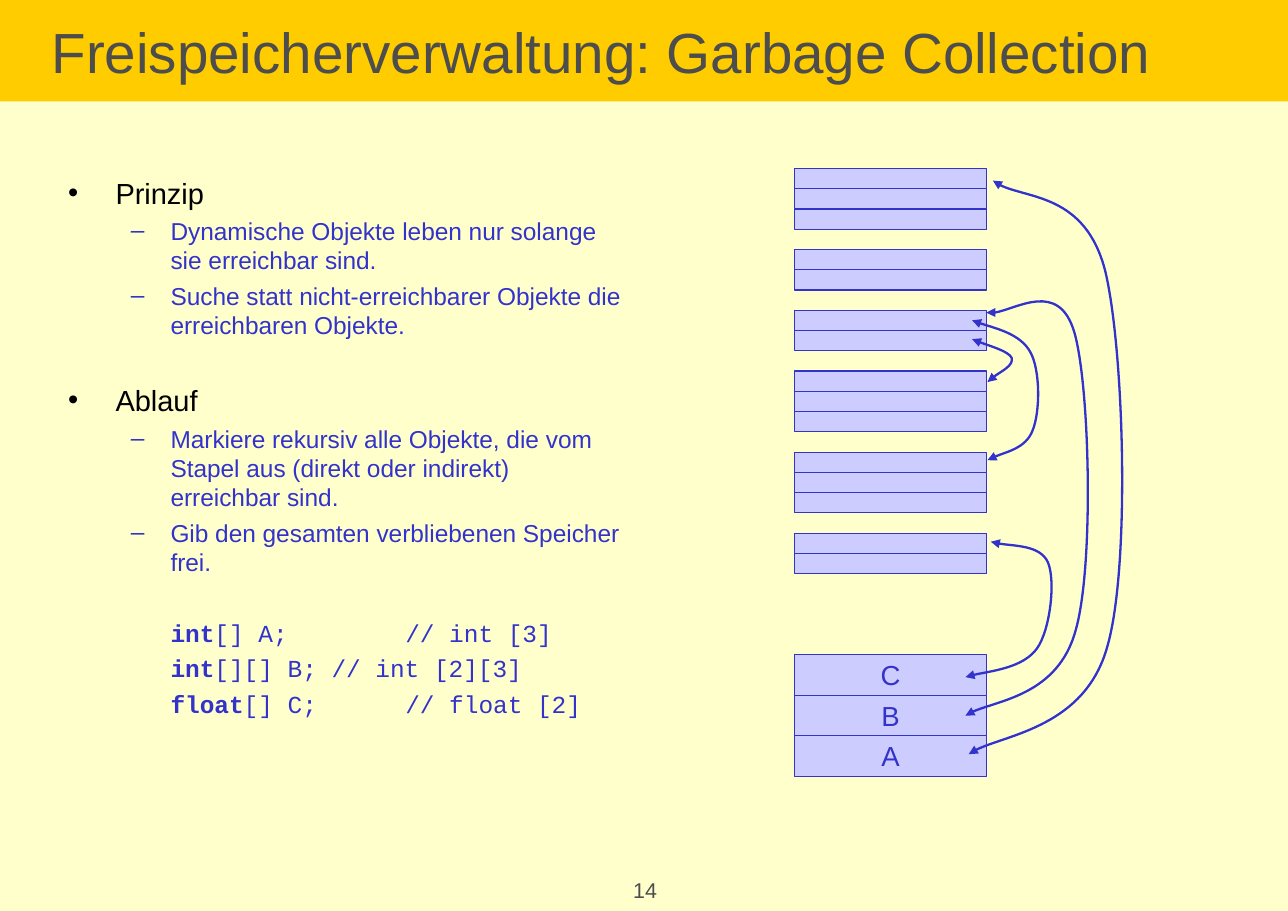
"""Build a slide on garbage collection, laid out on a grid of tenth-inch cells."""
from lxml import etree
from pptx import Presentation, util as u
from pptx.dml.color import RGBColor
from pptx.enum import shapes, text
from pptx.oxml.ns import qn

CELL = u.Inches(0.1)
WIDE, HIGH = 117, 82.74
LEFT, TOP, SPAN, ROW = 72.14, 15.3, 17.5, 1.84
BLUE, PALE, GREY, BLACK = "3333CC", "CCCCFF", "4D4D4D", "000000"
BLOCKS = [(0, 3), (4, 2), (7, 2), (10, 3), (14, 3), (18, 2)]
STACK = 24
POINTS = [
    ("Prinzip", 0, [
        "Dynamische Objekte leben nur solange sie erreichbar sind.",
        "Suche statt nicht-erreichbarer Objekte die erreichbaren Objekte."]),
    ("Ablauf", 28.2, [
        "Markiere rekursiv alle Objekte, die vom Stapel aus (direkt oder indirekt) "
        "erreichbar sind.",
        "Gib den gesamten verbliebenen Speicher frei."]),
]
CODE = [("int", "[] A;\t // int [3]", 27),
        ("int", "[][] B; // int [2][3]", 4),
        ("float", "[] C;\t // float [2]", 4)]
CURVES = [
    [(87.7, 61.5), (88.8, 61.1), (92.9, 60.7), (94.2, 58.9), (95.4, 57.2),
     (95.9, 52.8), (95.2, 51.1), (94.5, 49.5), (91.1, 49.6), (90, 49.2)],
    [(87.7, 65), (89.4, 63.8), (96.1, 63.1), (97.7, 57.3), (99.4, 51.5),
     (99, 35), (97.6, 30.2), (96.2, 25.4), (91.2, 28.8), (89.6, 28.4)],
    [(88, 68.5), (90.1, 66.9), (98.6, 66), (100.6, 58.7), (102.7, 51.4),
     (102.1, 31.6), (100.4, 24.6), (98.6, 17.6), (92.3, 18.1), (90.2, 16.4)],
    [(88.3, 30.8), (88.9, 31.1), (91.6, 31.9), (91.9, 32.5), (92.1, 33.2),
     (90.1, 34.2), (89.7, 34.7)],
    [(88.3, 29.1), (89.2, 29.5), (92.7, 30.3), (93.6, 32), (94.5, 33.6),
     (94.5, 37.4), (93.8, 39.1), (93.2, 40.7), (90.5, 41.3), (89.7, 41.8)],
]


def tint(code):
    """Return the colour of a hex string."""
    return RGBColor.from_string(code)


def grid(*cells):
    """Turn cell counts into lengths."""
    return [u.Emu(round(cell * CELL)) for cell in cells]


def style(para, size, code, name="Arial"):
    """Set the font of a whole paragraph."""
    font = para.font
    font.size, font.name = u.Pt(size), name
    font.color.rgb = tint(code)


def inset(frame, left=1.1):
    """Set the margins of a text frame."""
    frame.margin_left, frame.margin_right = grid(left, 1.1)
    frame.margin_top, frame.margin_bottom = grid(0.6, 0.6)


def add_box(slide, place, fill, line=None):
    """Add a filled rectangle."""
    box = slide.shapes.add_shape(shapes.MSO_SHAPE.RECTANGLE, *grid(*place))
    box.shadow.inherit = False
    box.fill.solid()
    box.fill.fore_color.rgb = tint(fill)
    if line:
        box.line.color.rgb = tint(line)
        box.line.width = u.Pt(0.75)
    else:
        box.line.fill.background()
    return box


def add_label(box, words, size, code, align, left=1.1, wrap=True):
    """Write one centred or left-aligned line into a shape."""
    frame = box.text_frame
    frame.word_wrap = wrap
    frame.vertical_anchor = text.MSO_ANCHOR.MIDDLE
    inset(frame, left)
    para = frame.paragraphs[0]
    para.text, para.alignment = words, align
    style(para, size, code)


def add_text(slide, place):
    """Add a wrapping text box and return its frame."""
    frame = slide.shapes.add_textbox(*grid(*place)).text_frame
    frame.word_wrap = True
    inset(frame)
    return frame


def add_para(frame, parts, gap, left, hang=0, mark=None, code=BLACK):
    """Add a paragraph with an indent and, if wanted, a bullet."""
    first = frame.paragraphs[0]
    para = frame.add_paragraph() if first.runs else first
    for part in parts:
        para.add_run().text = part
    if gap:
        para.space_before = u.Pt(gap)
    props = para._p.get_or_add_pPr()
    props.set("marL", str(grid(left)[0]))
    props.set("indent", str(grid(-hang)[0]))
    props.set("defTabSz", str(grid(10)[0]))
    if mark:
        hue = etree.SubElement(props, qn("a:buClr"))
        etree.SubElement(hue, qn("a:srgbClr"), val=code)
        etree.SubElement(props, qn("a:buFont"), typeface="Arial")
        etree.SubElement(props, qn("a:buChar"), char=mark)
    return para


def add_body(slide):
    """Add the bullet points and the code lines."""
    frame = add_text(slide, (5.1, 15.3, 52.6, 53.3))
    for head, gap, items in POINTS:
        style(add_para(frame, [head], gap, 4.3, 4.3, "•"), 19, BLACK)
        for item in items:
            para = add_para(frame, [item], 4, 9.3, 3.6, "–", BLUE)
            style(para, 16, BLUE)
    for kind, rest, gap in CODE:
        para = add_para(frame, [kind, rest], gap, 9.3)
        style(para, 16, BLUE, "Courier New")
        para.runs[0].font.bold = True


def add_curve(slide, dots):
    """Draw a Bézier curve with an arrowhead at both ends."""
    start, *rest = [grid(*dot) for dot in dots]
    form = slide.shapes.build_freeform(*start)
    form.add_line_segments(rest, close=False)
    curve = form.convert_to_shape()
    curve.shadow.inherit = False
    curve.fill.background()
    curve.line.color.rgb = tint(BLUE)
    curve.line.width = u.Pt(1.5)
    steps = list(curve._element.iter(qn("a:lnTo")))
    for pos in range(0, len(steps), 3):
        bend = etree.Element(qn("a:cubicBezTo"))
        steps[pos].addprevious(bend)
        for step in steps[pos:pos + 3]:
            bend.append(step[0])
            step.getparent().remove(step)
    for end in ("headEnd", "tailEnd"):
        etree.SubElement(curve.line._get_or_add_ln(), qn("a:" + end), type="triangle")


def add_heap(slide):
    """Draw the variables on the stack and the memory blocks."""
    for pos, name in enumerate("CBA"):
        top = TOP + (STACK + 2 * pos) * ROW
        box = add_box(slide, (LEFT, top, SPAN, 2 * ROW), PALE, BLUE)
        add_label(box, name, 18, BLUE, text.PP_ALIGN.CENTER, wrap=False)
    for start, count in BLOCKS:
        for row in range(start, start + count):
            add_box(slide, (LEFT, TOP + row * ROW, SPAN, ROW), PALE, BLUE)


def main():
    """Build and save the slide."""
    deck = Presentation()
    deck.slide_width, deck.slide_height = grid(WIDE, HIGH)
    slide = deck.slides.add_slide(deck.slide_layouts[6])
    back = slide.background.fill
    back.solid()
    back.fore_color.rgb = tint("FFFFCC")
    title = add_box(slide, (0, 0, WIDE, 9.22), "FFCC00")
    add_label(title, "Freispeicherverwaltung: Garbage Collection", 37, GREY,
              text.PP_ALIGN.LEFT, left=4.7)
    add_body(slide)
    add_heap(slide)
    for dots in CURVES:
        add_curve(slide, dots)
    foot = add_text(slide, (51.3, 79.04, 14.6, 3.7))
    para = add_para(foot, ["14"], 0, 0)
    para.alignment = text.PP_ALIGN.CENTER
    style(para, 14, GREY)
    deck.save("out.pptx")


if __name__ == "__main__":
    main()
